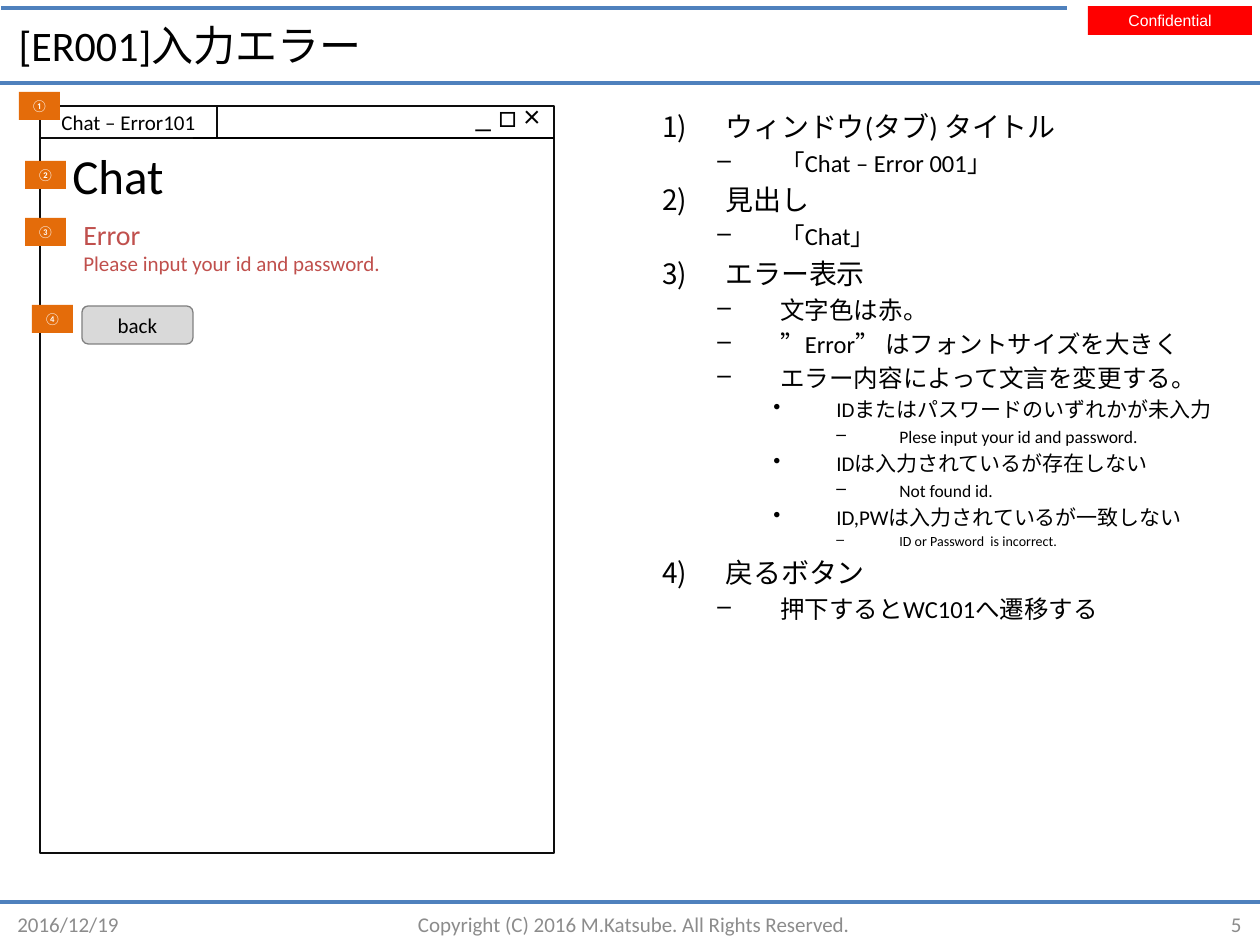
from lxml.etree import SubElement
from pptx import Presentation
from pptx.dml.color import RGBColor
from pptx.enum.shapes import MSO_CONNECTOR, MSO_SHAPE
from pptx.enum.text import MSO_ANCHOR, MSO_AUTO_SIZE, PP_ALIGN
from pptx.oxml.ns import qn
from pptx.util import Emu, Pt

PX_PER_INCH = 126
BLUE, RED, ERROR_RED, ORANGE = "4F81BD", "FF0000", "C0504D", "E46C0A"
BLACK, INK, GREY, LIGHT_GREY, MUTED, WHITE = (
    "000000", "0D0D0D", "808080", "D9D9D9", "8C8C8C", "FFFFFF")
LEFT, CENTER, RIGHT = PP_ALIGN.LEFT, PP_ALIGN.CENTER, PP_ALIGN.RIGHT
TOP, MIDDLE = MSO_ANCHOR.TOP, MSO_ANCHOR.MIDDLE

# Per list level: text indent in px, bullet element, its attributes
LEVELS = [
    (63, "a:buAutoNum", {"type": "arabicParenR"}),
    (118, "a:buChar", {"char": "–"}),
    (174, "a:buChar", {"char": "•"}),
    (237, "a:buChar", {"char": "–"}),
]
HANGING = 63

# Level, size in points, text
SPECIFICATION = [
    (0, 16, "ウィンドウ(タブ) タイトル"),
    (1, 14, "「Chat – Error 001」"),
    (0, 16, "見出し"),
    (1, 14, "「Chat」"),
    (0, 16, "エラー表示"),
    (1, 14, "文字色は赤。"),
    (1, 14, "”Error” はフォントサイズを大きく"),
    (1, 14, "エラー内容によって文言を変更する。"),
    (2, 12, "IDまたはパスワードのいずれかが未入力"),
    (3, 10, "Plese input your id and password."),
    (2, 12, "IDは入力されているが存在しない"),
    (3, 10, "Not found id."),
    (2, 12, "ID,PWは入力されているが一致しない"),
    (3, 8, "ID or Password  is incorrect."),
    (0, 16, "戻るボタン"),
    (1, 14, "押下するとWC101へ遷移する"),
]

BADGES = [("①", 19, 92), ("②", 25, 161), ("③", 25, 218), ("④", 32, 305)]


def px(length):
    return Emu(round(length * 914400 / PX_PER_INCH))


def rgb(hex_color):
    return RGBColor.from_string(hex_color)


def style(paragraph, size, color=BLACK, align=LEFT, font="Calibri"):
    paragraph.alignment = align
    paragraph.font.name = font
    paragraph.font.size = Pt(size)
    paragraph.font.color.rgb = rgb(color)


def write(shape, lines, color=BLACK, align=LEFT, anchor=TOP, wrap=True,
          font="Calibri"):
    """Fill a shape with (text, size) lines."""
    frame = shape.text_frame
    frame.word_wrap = wrap
    frame.auto_size = MSO_AUTO_SIZE.NONE
    frame.vertical_anchor = anchor
    frame.text = "\n".join(text for text, _ in lines)
    for paragraph, (_, size) in zip(frame.paragraphs, lines):
        style(paragraph, size, color, align, font)


def add_text(slide, box, lines, **options):
    text_box = slide.shapes.add_textbox(*map(px, box))
    write(text_box, lines, **options)
    return text_box


def add_box(slide, box, fill, line=None, preset=MSO_SHAPE.RECTANGLE):
    shape = slide.shapes.add_shape(preset, *map(px, box))
    shape.shadow.inherit = False
    shape.fill.solid()
    shape.fill.fore_color.rgb = rgb(fill)
    if line:
        shape.line.color.rgb = rgb(line)
        shape.line.width = Pt(0.75)
    else:
        shape.line.fill.background()
    return shape


def add_rule(slide, left, right, y, color=BLUE, width=2):
    rule = slide.shapes.add_connector(
        MSO_CONNECTOR.STRAIGHT, px(left), px(y), px(right), px(y))
    rule.line.color.rgb = rgb(color)
    rule.line.width = Pt(width)
    SubElement(rule._element.spPr, qn("a:effectLst"))


def add_specification(slide):
    lines = [(text, size) for _, size, text in SPECIFICATION]
    outline = add_text(slide, (650, 103, 595, 766), lines)
    for paragraph, (level, size, _) in zip(
            outline.text_frame.paragraphs, SPECIFICATION):
        indent, bullet, attributes = LEVELS[level]
        paragraph.level = level
        paragraph.space_before = Pt(size * 0.2)
        properties = paragraph._p.get_or_add_pPr()
        properties.set("marL", str(px(indent)))
        properties.set("indent", str(px(-HANGING)))
        mark = properties.makeelement(qn(bullet), attributes)
        properties.find(qn("a:defRPr")).addprevious(mark)


def add_frame(slide):
    # Header and footer rules
    add_rule(slide, 0, 1260, 83)
    add_rule(slide, 0, 1260, 902)
    add_rule(slide, 1, 1067, 8)

    # Confidentiality label
    label = add_box(slide, (1088, 6, 164, 29), RED)
    write(label, [("Confidential", 9)], color=WHITE, align=CENTER,
          font="Arial")
    frame = label.text_frame
    frame.margin_left = frame.margin_right = px(5)
    frame.margin_top = frame.margin_bottom = px(5)

    # Title
    title = slide.shapes.title
    title.left, title.top, title.width, title.height = map(
        px, (6, 15, 1027, 59))
    write(title, [("[ER001]入力エラー", 24)], anchor=MIDDLE)

    # Footer
    for text, left, width, align in [
        ("2016/12/19", 5, 178, LEFT),
        ("Copyright (C) 2016 M.Katsube. All Rights Reserved.",
         217, 834, CENTER),
        ("5", 1088, 166, RIGHT),
    ]:
        add_text(slide, (left, 911, width, 26), [(text, 12)],
                 color=MUTED, align=align, anchor=MIDDLE)


def add_mockup(slide):
    # Window with its tab and controls
    add_box(slide, (40, 106, 514, 747), WHITE, INK)
    tab = add_box(slide, (40, 106, 177, 32), WHITE, INK)
    write(tab, [("Chat – Error101", 12)], align=CENTER, anchor=MIDDLE)
    add_rule(slide, 193, 554, 138, BLACK, 1)
    add_text(slide, (463, 89, 91, 51), [("_ □ ×", 18)],
             anchor=MIDDLE, wrap=False)

    # Page content
    add_text(slide, (60, 139, 118, 72), [("Chat", 28)], wrap=False)
    add_text(slide, (71, 211, 483, 72),
             [("Error", 16), ("Please input your id and password.", 12)],
             color=ERROR_RED)
    back = add_box(slide, (82, 306, 111, 38), LIGHT_GREY, GREY,
                   MSO_SHAPE.ROUNDED_RECTANGLE)
    write(back, [("back", 12)], align=CENTER, anchor=MIDDLE)

    # Numbered badges
    for number, left, top in BADGES:
        badge = add_box(slide, (left, top, 41, 28), ORANGE)
        write(badge, [(number, 7)], color=WHITE, wrap=False)


def main():
    presentation = Presentation()
    presentation.slide_width, presentation.slide_height = px(1260), px(945)
    slide = presentation.slides.add_slide(presentation.slide_layouts[5])
    add_frame(slide)
    add_specification(slide)
    add_mockup(slide)
    presentation.save("out.pptx")


if __name__ == "__main__":
    main()
